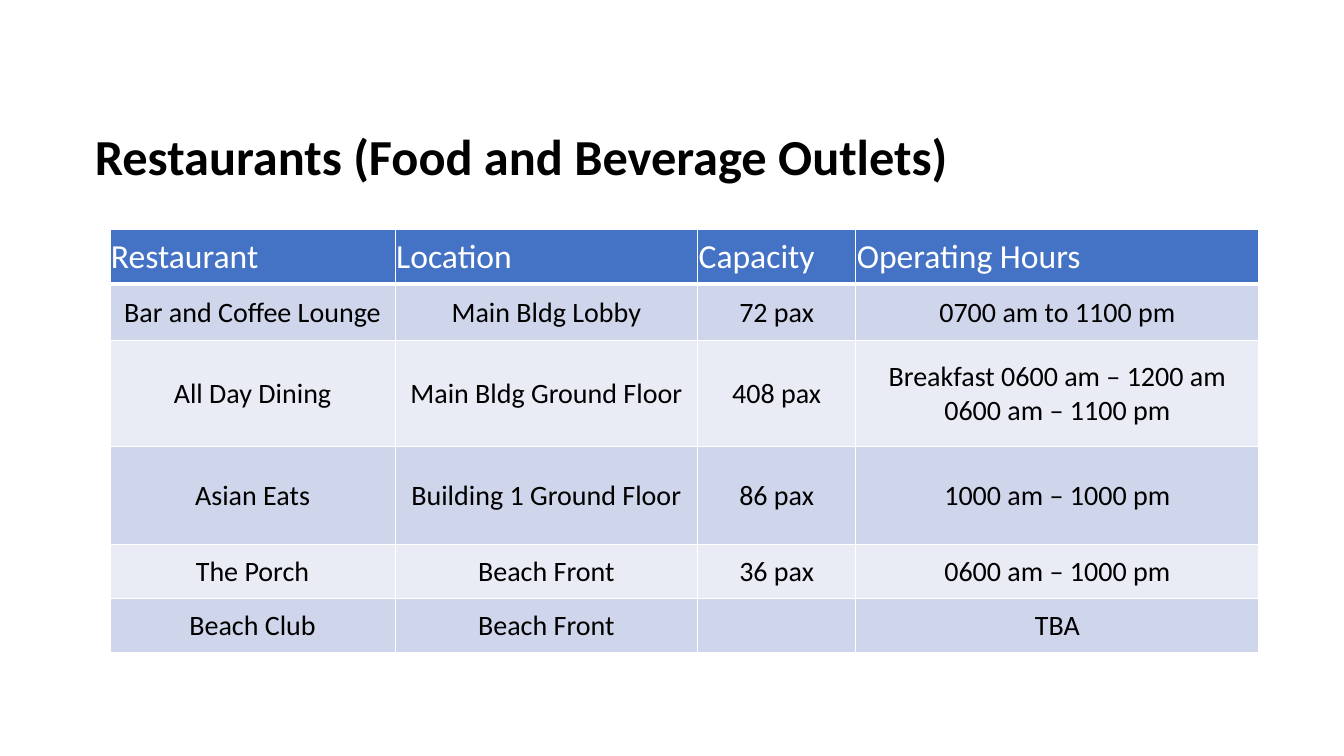
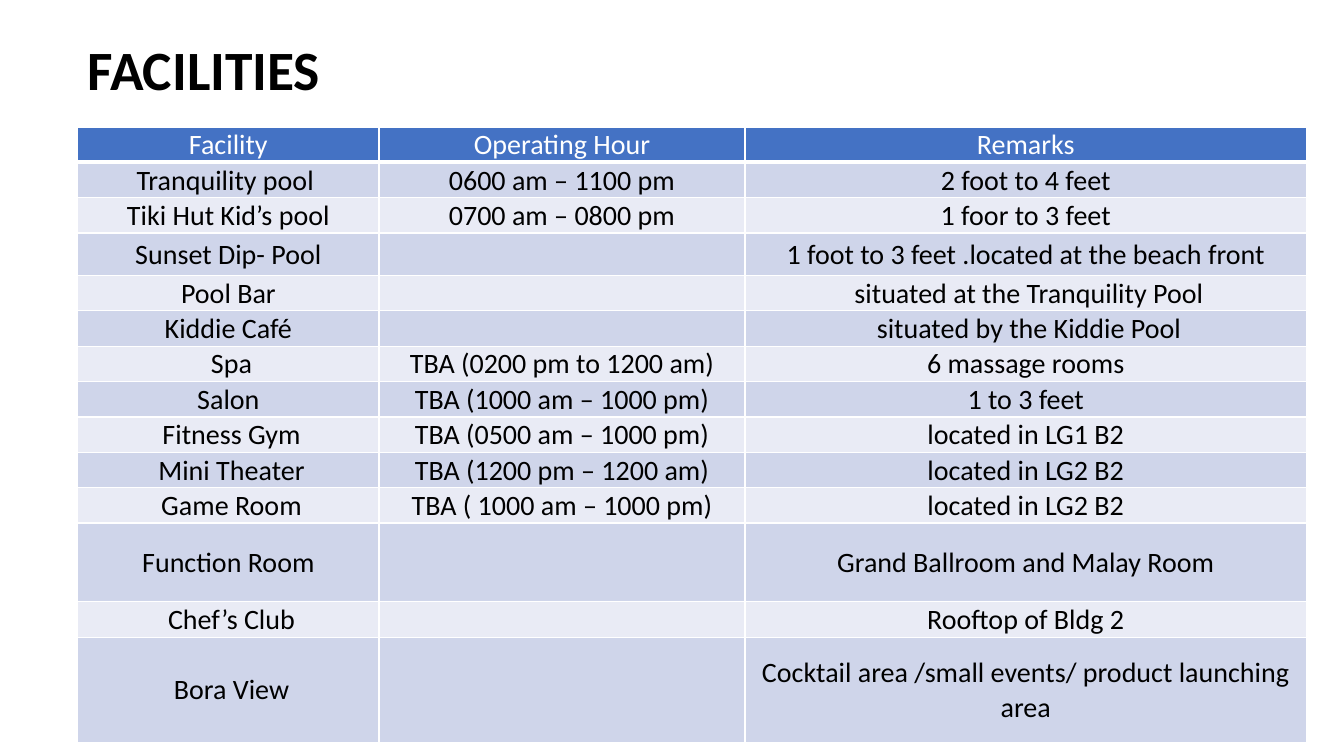
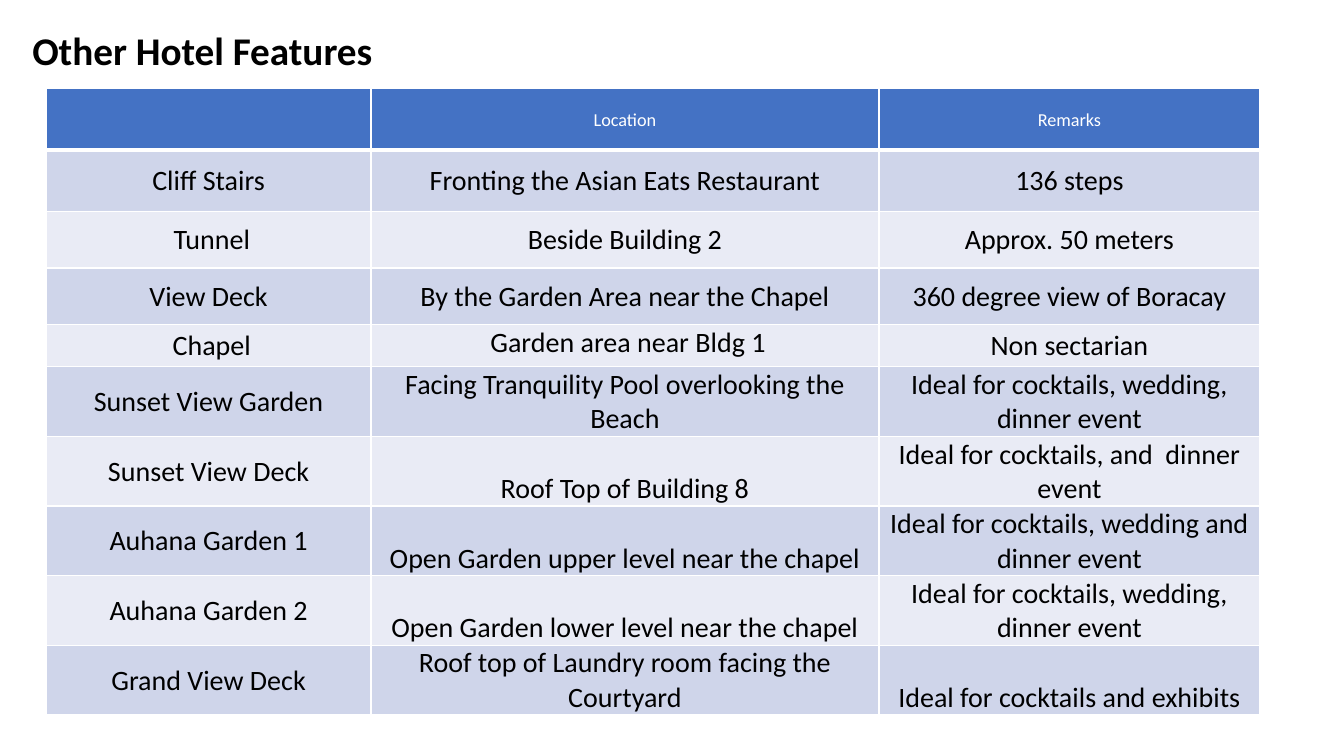
"""Build three hotel fact-sheet slides, each a bold title above a banded table."""
from dataclasses import dataclass

from lxml.etree import SubElement
from pptx import Presentation
from pptx.dml.color import RGBColor
from pptx.enum.text import MSO_ANCHOR as Anchor, MSO_AUTO_SIZE as AutoSize, PP_ALIGN as Align
from pptx.oxml.ns import qn
from pptx.util import Inches, Pt

SLIDE_W, SLIDE_H = Inches(13.33), Inches(7.5)
FONT = "Calibri"
BODY_SIZE = 20
COLORS = {"ink": "000000", "paper": "FFFFFF", "header": "4472C4",
          "band_dark": "CFD5EA", "band_light": "E9EBF5"}
ANCHORS = {"t": Anchor.TOP, "m": Anchor.MIDDLE, "b": Anchor.BOTTOM}
HEADER_BORDERS = {"lnL": 1, "lnR": 1, "lnT": 1, "lnB": 3}


@dataclass(frozen=True)
class Box:
    """Left, top, width and height as percentages of the slide."""
    left: float
    top: float
    width: float
    height: float

    def lengths(self) -> tuple[int, int, int, int]:
        return (int(SLIDE_W * self.left / 100), int(SLIDE_H * self.top / 100),
                int(SLIDE_W * self.width / 100), int(SLIDE_H * self.height / 100))


@dataclass(frozen=True)
class Row:
    """A table row: its height weight, its texts and an anchor per column."""
    weight: float
    texts: tuple[str, ...]
    anchors: str = "mmmm"


@dataclass(frozen=True)
class Page:
    """One slide: a title and a table."""
    title: str
    title_box: Box
    title_size: float
    title_bottom: float
    table_box: Box
    columns: tuple[float, ...]
    rows: tuple[Row, ...]
    header_size: int
    header_align: Align = Align.CENTER


PAGES = (
    Page("Restaurants (Food and Beverage Outlets)", Box(6.3, 19.07, 70.5, 11.33), 36, 0.6,
         Box(8.18, 30.4, 85.5, 56), (2.83, 3, 1.57, 4), (
             Row(0.54, ("Restaurant", "Location", "Capacity", "Operating Hours")),
             Row(0.56, ("Bar and Coffee Lounge", "Main Bldg Lobby", "72 pax", "0700 am to 1100 pm")),
             Row(1.05, ("All Day Dining", "Main Bldg Ground Floor", "408 pax",
                        "Breakfast 0600 am – 1200 am\n0600 am – 1100 pm")),
             Row(0.97, ("Asian Eats", "Building 1 Ground Floor", "86 pax", "1000 am – 1000 pm")),
             Row(0.54, ("The Porch", "Beach Front", "36 pax", "0600 am – 1000 pm")),
             Row(0.54, ("Beach Club", "Beach Front", "", "TBA")),
         ), 24, Align.LEFT),
    Page("FACILITIES", Box(5.78, 8.8, 70.5, 9.47), 39.6, 0.65,
         Box(5.78, 16.8, 91.43, 81.47), (2.99, 3.63, 5.57), (
             Row(0.35, ("Facility", "Operating Hour", "Remarks")),
             Row(0.35, ("Tranquility pool ", "0600 am – 1100 pm", "2 foot to 4 feet")),
             Row(0.35, ("Tiki Hut Kid’s pool", "0700 am – 0800 pm", "1 foor to 3 feet")),
             Row(0.42, ("Sunset Dip- Pool", "", "1 foot to 3 feet .located at the beach front")),
             Row(0.35, ("Pool Bar", "", "\u00a0situated at the Tranquility Pool")),
             Row(0.35, ("Kiddie Café", "", "\u00a0situated by the Kiddie Pool")),
             Row(0.35, (" Spa", "TBA (0200 pm to 1200 am)", "6 massage rooms")),
             Row(0.35, (" Salon ", "TBA (1000 am – 1000 pm)", "1 to 3 feet"), "mmt"),
             Row(0.35, (" Fitness Gym", "TBA (0500 am – 1000 pm)", "located in LG1 B2"), "mmt"),
             Row(0.35, (" Mini Theater", "TBA (1200 pm – 1200 am)", "located in LG2 B2"), "mmt"),
             Row(0.35, (" Game Room", "TBA ( 1000 am – 1000 pm)", "located in LG2 B2"), "mmt"),
             Row(0.78, (" Function Room ", "", "Grand Ballroom and Malay Room")),
             Row(0.35, (" Chef’s Club", "", "Rooftop of Bldg 2")),
             Row(1.04, (" Bora View", "", "Cocktail area /small events/ product launching area")),
         ), 20),
    Page("Other Hotel Features", Box(1.65, 2.27, 70.5, 9.47), 28, 0.05,
         Box(3.45, 11.73, 90.3, 80.13), (3.22, 5.04, 3.78), (
             Row(0.61, ("", "Location", "Remarks")),
             Row(0.61, ("Cliff Stairs", "Fronting the Asian Eats Restaurant", "136 steps")),
             Row(0.56, (" Tunnel", "Beside Building 2", "Approx. 50 meters")),
             Row(0.56, ("View Deck", "By the Garden Area near the Chapel", "360 degree view of Boracay")),
             Row(0.42, (" Chapel", "\u00a0Garden area near Bldg 1", "Non sectarian"), "mtm"),
             Row(0.65, ("Sunset View Garden", "Facing Tranquility Pool overlooking the Beach",
                        "Ideal for cocktails, wedding, dinner event"), "mbb"),
             Row(0.65, ("Sunset View Deck", "Roof Top of Building 8",
                        "Ideal for cocktails, and  dinner event"), "mbb"),
             Row(0.65, ("Auhana Garden 1", "Open Garden upper level near the chapel",
                        "Ideal for cocktails, wedding and dinner event"), "mbb"),
             Row(0.65, ("Auhana Garden 2", "Open Garden lower level near the chapel",
                        "Ideal for cocktails, wedding, dinner event"), "mbb"),
             Row(0.65, ("Grand View Deck", "Roof top of Laundry room facing the Courtyard",
                        "Ideal for cocktails and exhibits"), "mbb"),
         ), 13),
)


def color(key: str) -> RGBColor:
    return RGBColor.from_string(COLORS[key])


def add_text(paragraph, text: str, size: float, ink: str, bold: bool = False) -> None:
    for index, line in enumerate(text.split("\n")):
        if index:
            paragraph.add_line_break()
        run = paragraph.add_run()
        run.text = line
        run.font.name, run.font.size, run.font.bold = FONT, Pt(size), bold
        run.font.color.rgb = color(ink)


def add_title(slide, page: Page) -> None:
    title = slide.shapes.title
    title.left, title.top, title.width, title.height = page.title_box.lengths()
    frame = title.text_frame
    frame.auto_size, frame.word_wrap = AutoSize.NONE, True
    frame.vertical_anchor = Anchor.MIDDLE
    frame.margin_bottom = Inches(page.title_bottom)
    paragraph = frame.paragraphs[0]
    paragraph.alignment, paragraph.line_spacing = Align.LEFT, 0.9
    add_text(paragraph, page.title, page.title_size, "ink", True)


def add_header_borders(cell) -> None:
    properties = cell._tc.get_or_add_tcPr()
    for side, points in HEADER_BORDERS.items():
        border = SubElement(properties, qn(f"a:{side}"), w=str(Pt(points)))
        SubElement(SubElement(border, qn("a:solidFill")), qn("a:srgbClr"), val=COLORS["paper"])


def add_fact_table(slide, page: Page) -> None:
    left, top, width, height = page.table_box.lengths()
    table = slide.shapes.add_table(len(page.rows), len(page.columns), left, top, width, height).table
    for column, weight in zip(table.columns, page.columns):
        column.width = int(width * weight / sum(page.columns))
    total = sum(row.weight for row in page.rows)
    for index, row in enumerate(page.rows):
        table.rows[index].height = int(height * row.weight / total)
        is_header = index == 0
        band = "header" if is_header else "band_dark" if index % 2 else "band_light"
        for cell, text, anchor in zip(table.rows[index].cells, row.texts, row.anchors):
            if is_header:
                add_header_borders(cell)
            cell.fill.solid()
            cell.fill.fore_color.rgb = color(band)
            cell.margin_left = cell.margin_right = cell.margin_top = Inches(0.01)
            cell.margin_bottom = 0
            cell.vertical_anchor = ANCHORS[anchor]
            if text:
                paragraph = cell.text_frame.paragraphs[0]
                paragraph.alignment = page.header_align if is_header else Align.CENTER
                add_text(paragraph, text, page.header_size if is_header else BODY_SIZE,
                         "paper" if is_header else "ink")


def main() -> None:
    deck = Presentation()
    deck.slide_width, deck.slide_height = SLIDE_W, SLIDE_H
    title_only = deck.slide_layouts[5]
    for page in PAGES:
        slide = deck.slides.add_slide(title_only)
        add_title(slide, page)
        add_fact_table(slide, page)
    deck.save("out.pptx")


main()
